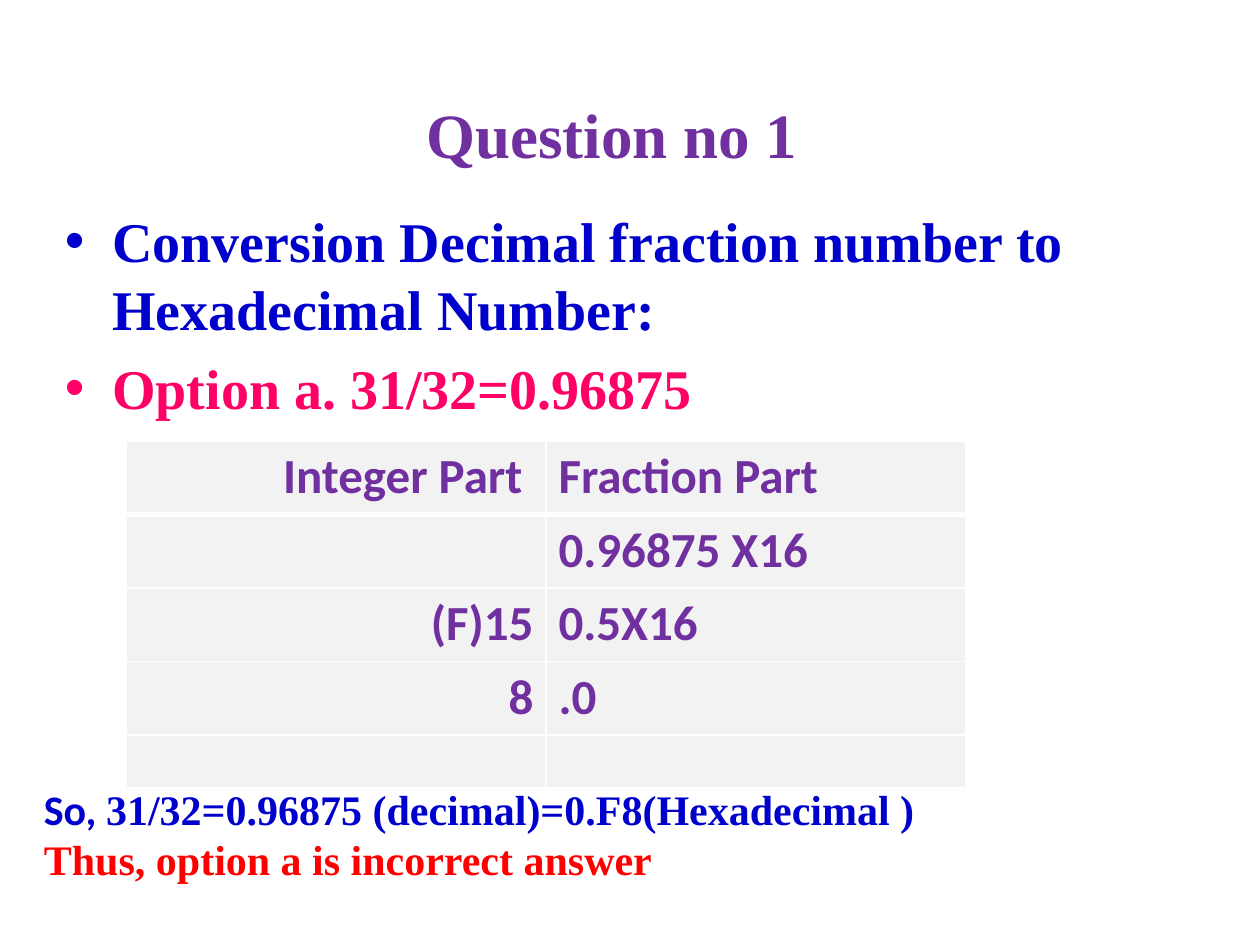
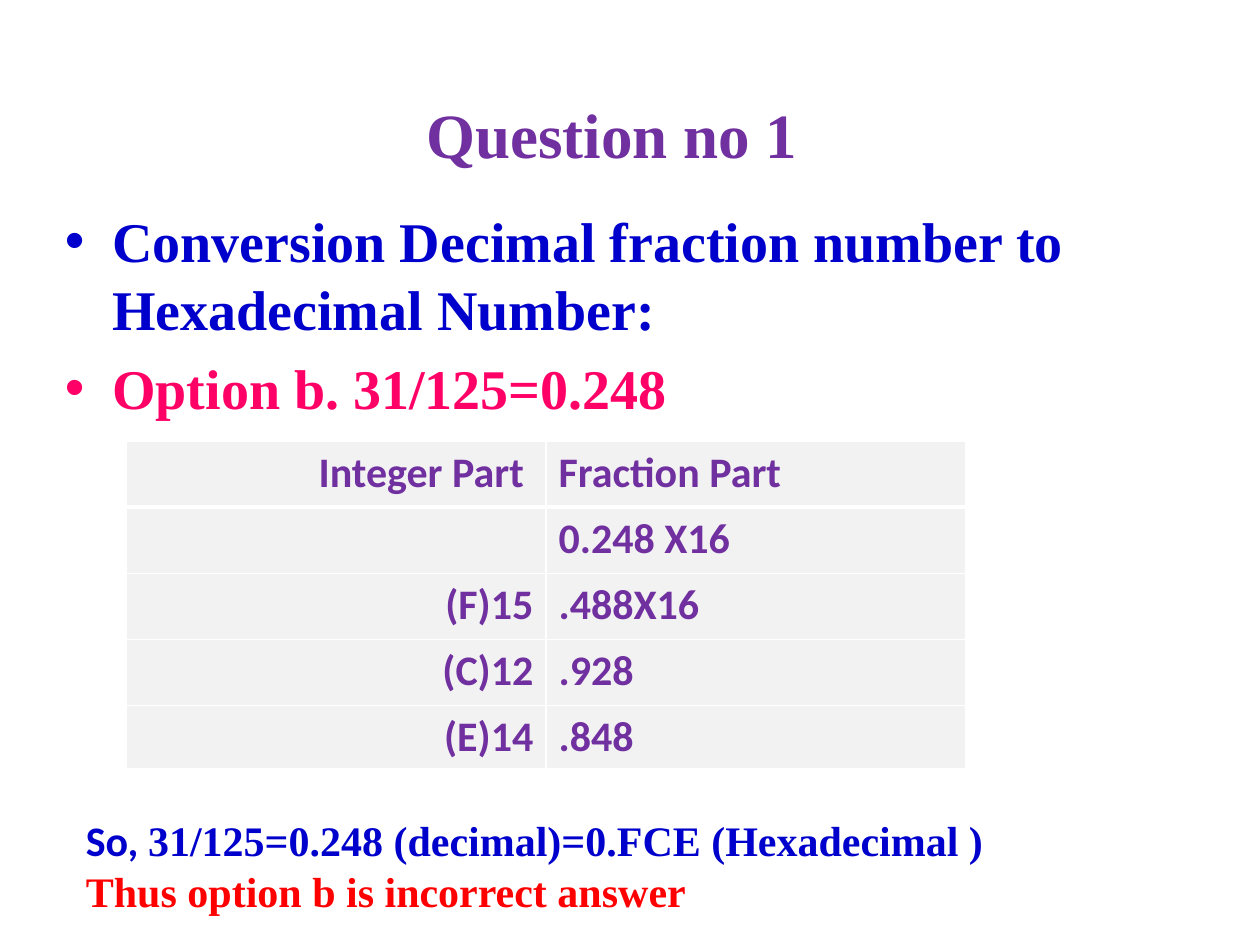
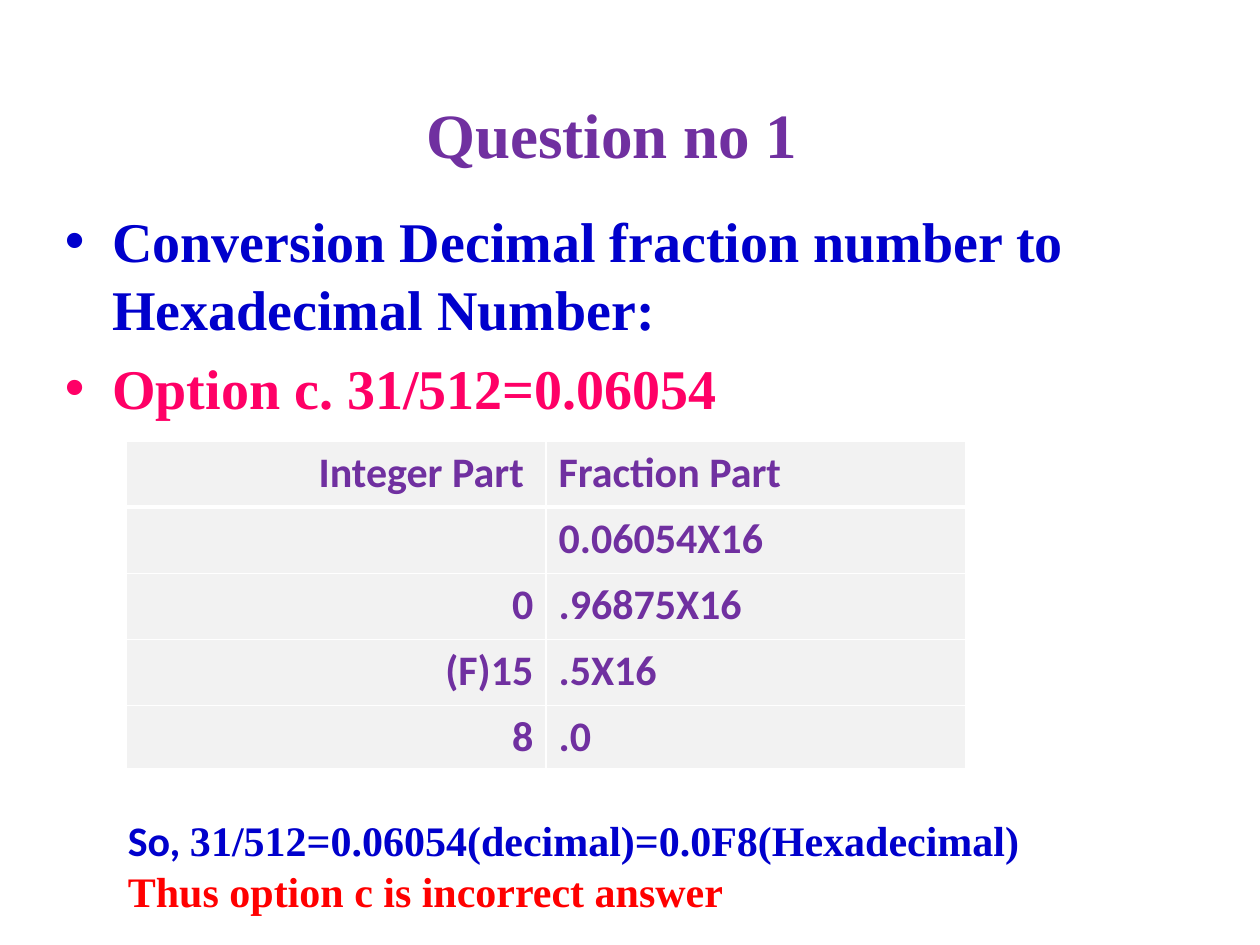
from dataclasses import dataclass
from typing import NamedTuple

from lxml.etree import SubElement
from pptx import Presentation
from pptx.dml.color import RGBColor as Rgb
from pptx.enum.text import MSO_ANCHOR as Anchor, PP_ALIGN as Align
from pptx.oxml.ns import qn
from pptx.util import Pt

EMU_PER_PX = 7620


def px(length: int) -> int:
    return length * EMU_PER_PX


class Box(NamedTuple):
    left: int
    top: int
    width: int
    height: int

    def emu(self) -> list[int]:
        return [px(length) for length in self]


class Style(NamedTuple):
    font: str
    size: int
    color: str


@dataclass(frozen=True)
class Theme:
    serif: str = "Times New Roman"
    sans: str = "Calibri"
    purple: str = "7030A0"
    blue: str = "0000CC"
    pink: str = "FF0066"
    red: str = "FF0000"
    cell: str = "F2F2F2"
    border: str = "FFFFFF"
    title_size: int = 36
    body_size: int = 32
    body_leading: int = 39
    body_gap: float = 5.7
    verdict_size: int = 24
    thin: int = 1
    thick: int = 3


@dataclass(frozen=True)
class Option:
    heading: str
    steps: list[tuple[str, str]]
    row_heights: list[int]
    table_size: int
    result: str
    verdict: str
    verdict_box: Box


THEME = Theme()
TITLE = "Question no 1"
TASK = "Conversion Decimal fraction number to Hexadecimal Number:"
TABLE_HEADER = ("Integer Part ", "Fraction Part")
TITLE_BOX = Box(50, 67, 1066, 120)
BODY_BOX = Box(50, 190, 1110, 540)
TABLE_LEFT, TABLE_TOP, COLUMN_WIDTH = 120, 420, 400
BULLET_INDENT = 45

OPTIONS = [
    Option(
        "Option a. 31/32=0.96875",
        [("", "0.96875 X16"), ("(F)15", "0.5X16"), ("8", ".0"), ("", "")],
        [70] * 4 + [50],
        28,
        "31/32=0.96875 (decimal)=0.F8(Hexadecimal )",
        "Thus, option a is incorrect answer",
        Box(30, 740, 1150, 145),
    ),
    Option(
        "Option b. 31/125=0.248",
        [("", "0.248 X16"), ("(F)15", ".488X16"), ("(C)12", ".928"), ("(E)14", ".848")],
        [63] * 4 + [60],
        24,
        "31/125=0.248 (decimal)=0.FCE (Hexadecimal )",
        "Thus option b is incorrect answer",
        Box(70, 770, 1070, 145),
    ),
    Option(
        "Option c. 31/512=0.06054",
        [("", "0.06054X16"), ("0", ".96875X16"), ("(F)15", ".5X16"), ("8", ".0")],
        [63] * 4 + [60],
        24,
        "31/512=0.06054(decimal)=0.0F8(Hexadecimal)",
        "Thus option c is incorrect answer",
        Box(110, 770, 950, 145),
    ),
]


def add_run(paragraph, text: str, style: Style) -> None:
    run = paragraph.add_run()
    run.text = text
    run.font.name = style.font
    run.font.size = Pt(style.size)
    run.font.bold = True
    run.font.color.rgb = Rgb.from_string(style.color)


def add_text_frame(slide, box: Box):
    frame = slide.shapes.add_textbox(*box.emu()).text_frame
    frame.word_wrap = True
    return frame


def add_title(slide) -> None:
    frame = add_text_frame(slide, TITLE_BOX)
    frame.vertical_anchor = Anchor.MIDDLE
    heading = frame.paragraphs[0]
    heading.alignment = Align.CENTER
    add_run(heading, TITLE, Style(THEME.serif, THEME.title_size, THEME.purple))


def set_bullet(paragraph) -> None:
    properties = paragraph._p.get_or_add_pPr()
    properties.set("marL", str(px(BULLET_INDENT)))
    properties.set("indent", str(-px(BULLET_INDENT)))
    SubElement(properties, qn("a:buFont"), typeface="Arial")
    SubElement(properties, qn("a:buChar"), char="•")


def add_body(slide, heading: str) -> None:
    frame = add_text_frame(slide, BODY_BOX)
    bullets = [frame.paragraphs[0], frame.add_paragraph()]
    lines = [(TASK, THEME.blue), (heading, THEME.pink)]
    for bullet, (text, color) in zip(bullets, lines):
        bullet.line_spacing = Pt(THEME.body_leading)
        bullet.space_before = Pt(THEME.body_gap)
        set_bullet(bullet)
        add_run(bullet, text, Style(THEME.serif, THEME.body_size, color))


def set_borders(cell, top: int, bottom: int) -> None:
    properties = cell._tc.get_or_add_tcPr()
    widths = {"a:lnL": THEME.thin, "a:lnR": THEME.thin, "a:lnT": top, "a:lnB": bottom}
    for position, (tag, width) in enumerate(widths.items()):
        edge = SubElement(properties, qn(tag), w=str(Pt(width)))
        fill = SubElement(edge, qn("a:solidFill"))
        SubElement(fill, qn("a:srgbClr"), val=THEME.border)
        properties.insert(position, edge)


def add_steps(slide, option: Option) -> None:
    rows = [TABLE_HEADER, *option.steps]
    box = Box(TABLE_LEFT, TABLE_TOP, 2 * COLUMN_WIDTH, sum(option.row_heights))
    steps = slide.shapes.add_table(len(rows), 2, *box.emu()).table
    style = Style(THEME.sans, option.table_size, THEME.purple)
    for column in steps.columns:
        column.width = px(COLUMN_WIDTH)
    for row_index, (parts, height) in enumerate(zip(rows, option.row_heights)):
        steps.rows[row_index].height = px(height)
        top = THEME.thick if row_index == 1 else THEME.thin
        bottom = THEME.thick if row_index == 0 else THEME.thin
        for column_index, (part, align) in enumerate(zip(parts, (Align.RIGHT, Align.LEFT))):
            cell = steps.cell(row_index, column_index)
            cell.fill.solid()
            cell.fill.fore_color.rgb = Rgb.from_string(THEME.cell)
            set_borders(cell, top, bottom)
            if part:
                paragraph = cell.text_frame.paragraphs[0]
                paragraph.alignment = align
                add_run(paragraph, part, style)


def add_verdict(slide, option: Option) -> None:
    frame = add_text_frame(slide, option.verdict_box)
    result, verdict = frame.paragraphs[0], frame.add_paragraph()
    add_run(result, "So, ", Style(THEME.sans, THEME.verdict_size, THEME.blue))
    add_run(result, option.result, Style(THEME.serif, THEME.verdict_size, THEME.blue))
    add_run(verdict, option.verdict, Style(THEME.serif, THEME.verdict_size, THEME.red))


def main() -> None:
    deck = Presentation()
    deck.slide_width, deck.slide_height = px(1200), px(900)
    for option in OPTIONS:
        slide = deck.slides.add_slide(deck.slide_layouts[6])
        add_title(slide)
        add_body(slide, option.heading)
        add_steps(slide, option)
        add_verdict(slide, option)
    deck.save("out.pptx")


if __name__ == "__main__":
    main()
